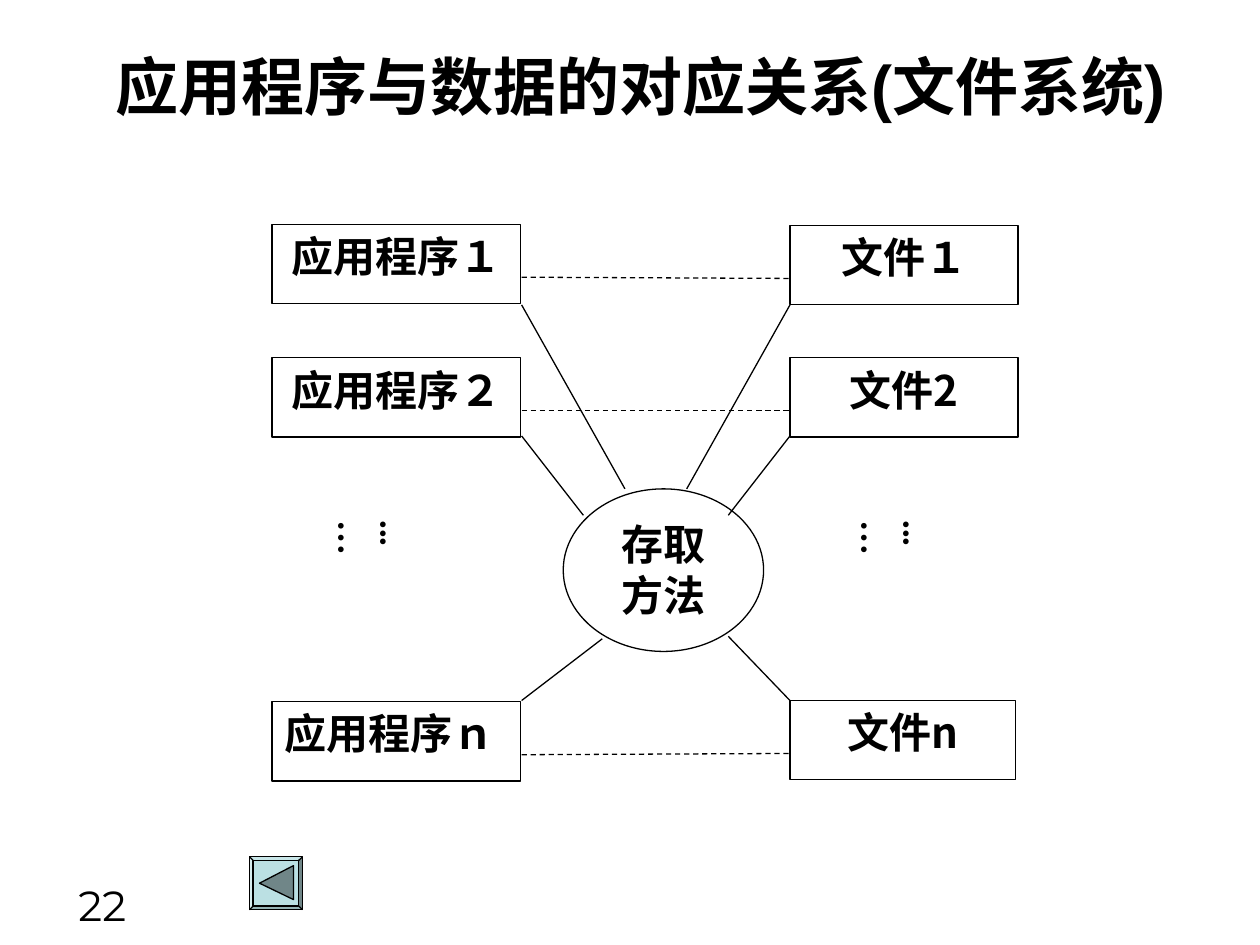
from lxml.etree import SubElement
from pptx import Presentation
from pptx.dml.color import RGBColor
from pptx.enum.dml import MSO_LINE
from pptx.enum.shapes import MSO_CONNECTOR, MSO_SHAPE
from pptx.enum.text import MSO_ANCHOR, MSO_AUTO_SIZE, PP_ALIGN
from pptx.oxml.ns import qn
from pptx.util import Inches, Pt

# Content
TITLE = "应用程序与数据的对应关系(文件系统)"
PAGE = "22"
HUB = "存取方法"
DOTS = "...…"
# Each row: program, its top, file, its top, file width
ROWS = [
    ("应用程序１", 1.78, "文件１", 1.79, 1.81),
    ("应用程序２", 2.84, "文件2", 2.84, 1.81),
    ("应用程序ｎ", 5.57, "文件n", 5.56, 1.79),
]
# Lines to the hub: start and end, left side then right side
LINKS = [
    ((4.14, 2.42), (4.96, 3.88)), ((6.27, 2.42), (5.45, 3.88)),
    ((4.14, 3.46), (4.63, 4.09)), ((6.27, 3.46), (5.78, 4.09)),
    ((4.14, 5.56), (4.78, 5.07)), ((6.27, 5.56), (5.78, 5.05)),
]

THEME = {
    "ink": RGBColor(0, 0, 0), "paper": RGBColor(255, 255, 255),
    "key": RGBColor(0xBB, 0xE0, 0xE3), "mark": RGBColor(0x70, 0x86, 0x88),
    "line": Pt(0.75), "title": 36, "body": 24, "dots": 20,
    "head": "Arial", "serif": "Times New Roman",
    "sans": "Noto Sans CJK SC", "page": "Montserrat",
}
LEFT, RIGHT, WIDE, HIGH = 2.16, 6.27, 1.97, 0.63
EDGE, DROP = 4.14, 0.42  # right side of the programs, dashed line offset


def write(shape, text, size=THEME["body"], font=THEME["serif"], bold=True,
          align=PP_ALIGN.CENTER, anchor=MSO_ANCHOR.TOP, pad=(0.1, 0.05)):
    frame = shape.text_frame
    frame.word_wrap = True
    frame.auto_size = MSO_AUTO_SIZE.NONE
    frame.vertical_anchor = anchor
    frame.margin_left = frame.margin_right = Inches(pad[0])
    frame.margin_top = frame.margin_bottom = Inches(pad[1])
    para = frame.paragraphs[0]
    para.alignment = align
    run = para.add_run()
    run.text = text
    run.font.size, run.font.name, run.font.bold = Pt(size), font, bold
    run.font.color.rgb = THEME["ink"]
    SubElement(run.font._element, qn("a:ea"), typeface=THEME["sans"])
    return frame


def style(shape, fill=THEME["paper"]):
    shape.shadow.inherit = False
    shape.fill.solid()
    shape.fill.fore_color.rgb = fill
    shape.line.color.rgb = THEME["ink"]
    shape.line.width = THEME["line"]
    return shape


def block(kind, *box, fill=THEME["paper"]):
    return style(slide.shapes.add_shape(kind, *map(Inches, box)), fill)


def link(start, end, dash=False):
    line = slide.shapes.add_connector(
        MSO_CONNECTOR.STRAIGHT, *map(Inches, start + end))
    line.line.color.rgb = THEME["ink"]
    line.line.width = THEME["line"]
    if dash:
        line.line.dash_style = MSO_LINE.DASH
    SubElement(line._element.spPr, qn("a:effectLst"))


deck = Presentation()
deck.slide_width, deck.slide_height = Inches(10), Inches(7.5)
slide = deck.slides.add_slide(deck.slide_layouts[5])

# Page number and title
page = slide.shapes.add_textbox(*map(Inches, (-0.04, 6.93, 1.14, 0.52)))
write(page, PAGE, font=THEME["page"], bold=False, align=PP_ALIGN.RIGHT)
title = slide.shapes.title
title.left, title.top, title.width, title.height = map(
    Inches, (0.75, 0.05, 8.67, 1.25))
write(title, TITLE, size=THEME["title"], font=THEME["head"],
      anchor=MSO_ANCHOR.MIDDLE)

# Programs and files, joined by dashed lines
for app, top, name, level, width in ROWS:
    align = PP_ALIGN.JUSTIFY if app.endswith("ｎ") else PP_ALIGN.CENTER
    write(block(MSO_SHAPE.RECTANGLE, LEFT, top, WIDE, HIGH), app, align=align)
    font = THEME["serif"] if name.endswith("１") else THEME["sans"]
    write(block(MSO_SHAPE.RECTANGLE, RIGHT, level, width, HIGH), name,
          font=font)
    link((EDGE, top + DROP), (RIGHT, level + DROP), dash=True)

# Access method in the centre
write(block(MSO_SHAPE.OVAL, 4.47, 3.88, 1.59, 1.29), HUB)
for start, end in LINKS:
    link(start, end)

# Vertical dots
for left in (2.82, 6.97):
    box = slide.shapes.add_textbox(*map(Inches, (left, 4.03, 0.53, 0.67)))
    frame = write(box, DOTS, size=THEME["dots"], align=PP_ALIGN.LEFT,
                  pad=(0.05, 0.1))
    frame._txBody.bodyPr.set("vert", "eaVert")

# Back button
key = block(MSO_SHAPE.BEVEL, 1.98, 6.8, 0.42, 0.42, fill=THEME["key"])
key.adjustments[0] = 0.07
pen = slide.shapes.build_freeform(Inches(2.06), Inches(7.01))
pen.add_line_segments([(Inches(2.33), Inches(y)) for y in (6.87, 7.14)])
style(pen.convert_to_shape(), THEME["mark"])

deck.save("out.pptx")
